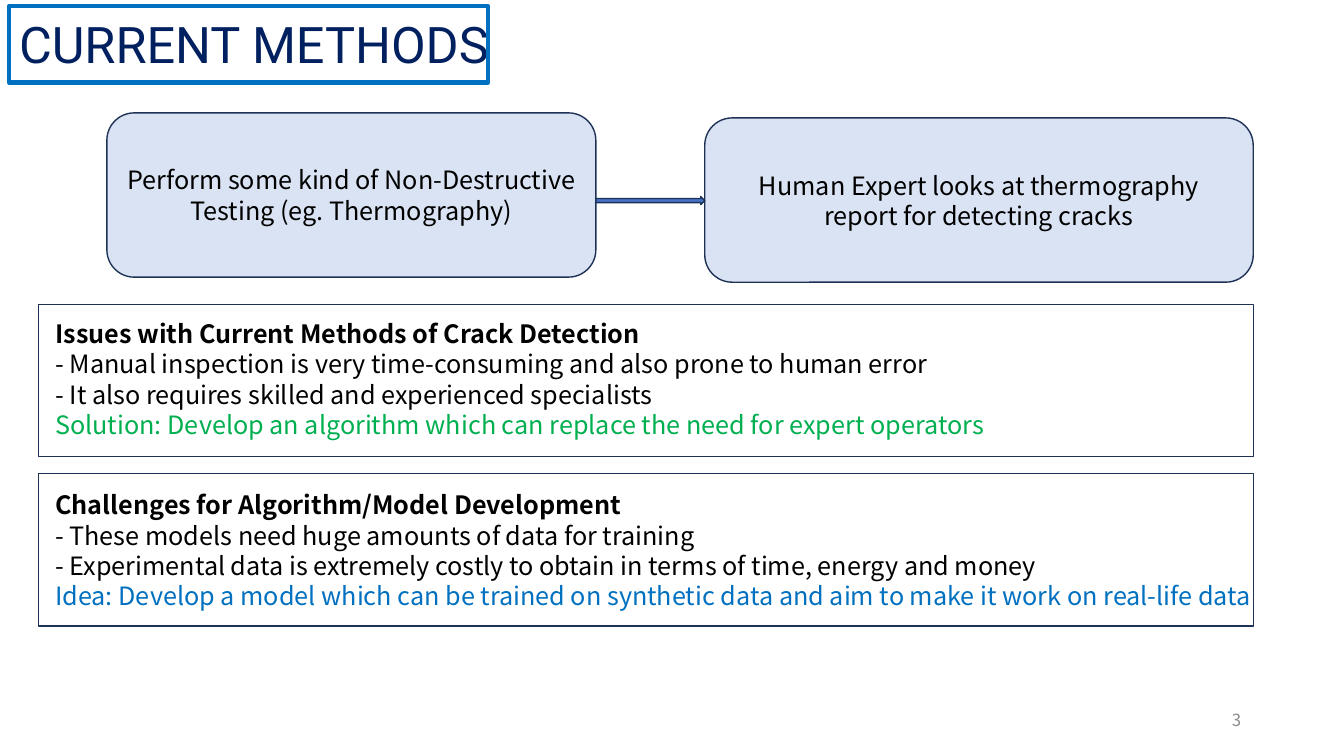
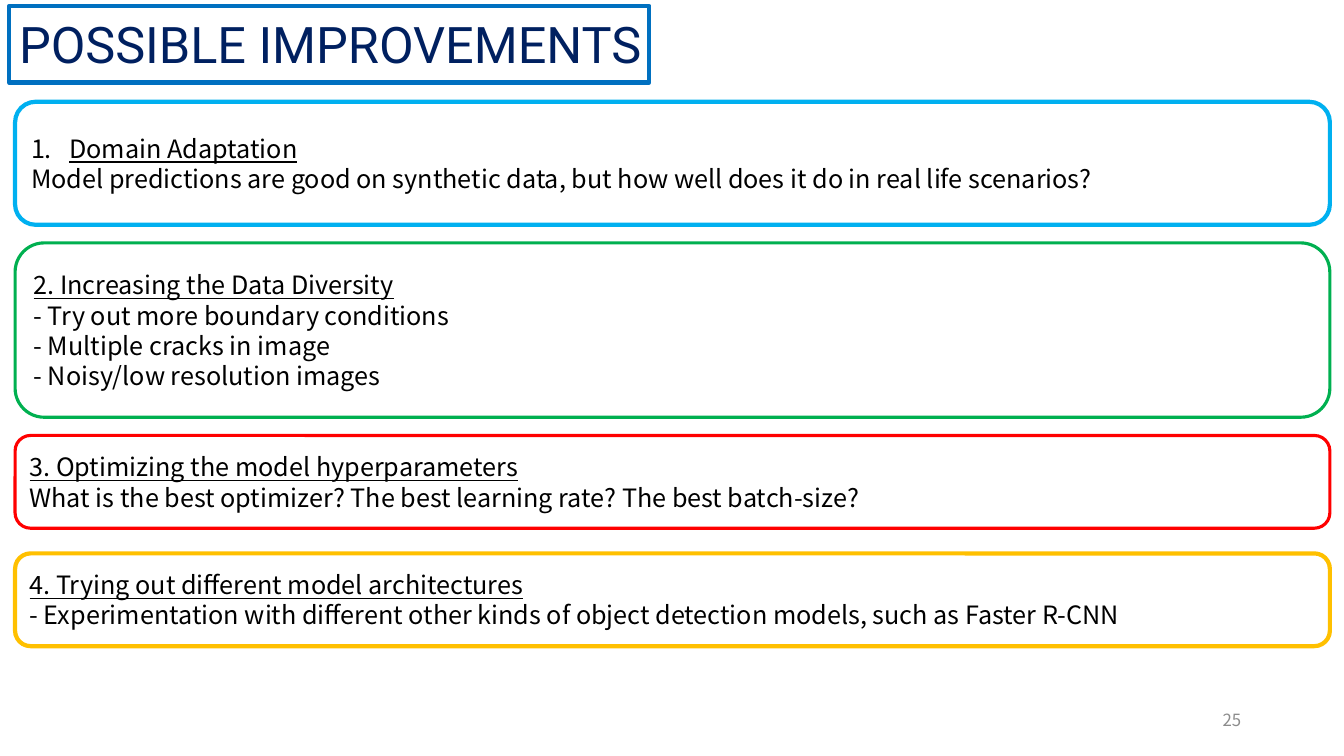
from lxml import etree
from pptx import Presentation
from pptx.dml.color import RGBColor
from pptx.enum.shapes import MSO_SHAPE
from pptx.enum.text import MSO_ANCHOR, PP_ALIGN
from pptx.oxml.ns import qn
from pptx.util import Pt

PX = 9144
RECTANGLE = MSO_SHAPE.RECTANGLE
ROUNDED = MSO_SHAPE.ROUNDED_RECTANGLE
ARROW = MSO_SHAPE.RIGHT_ARROW
LEFT, CENTER, RIGHT = PP_ALIGN.LEFT, PP_ALIGN.CENTER, PP_ALIGN.RIGHT
TOP, MIDDLE = MSO_ANCHOR.TOP, MSO_ANCHOR.MIDDLE

NAVY = "002060"
BLUE = "0070C0"
GREEN = "00B050"
OUTLINE = "1E3256"
PALE_BLUE = "DAE3F3"
BOLD = {"bold": True}
UNDERLINE = {"underline": True}
PLAIN = {}


def emu(*lengths):
    return [length * PX for length in lengths]


def rgb(value):
    return RGBColor.from_string(value)


class Deck:
    title_font = "Roboto"
    body_font = "Noto Sans CJK SC"
    body_size = 18
    line_factor = 1.2

    def __init__(self):
        self.presentation = Presentation()
        self.presentation.slide_width, self.presentation.slide_height = emu(1333, 750)
        self.slide = None

    def add_slide(self, title, frame_width, number):
        layout = self.presentation.slide_layouts[6]
        self.slide = self.presentation.slides.add_slide(layout)
        title_format = {"name": self.title_font, "size": Pt(36), "color": NAVY}
        self.text((9, 8, 809, 71), [(title, title_format)], spacing=None)
        self.shape(RECTANGLE, (9, 6, frame_width, 76), BLUE, 3)
        number_format = {"size": Pt(12), "color": "8C8C8C"}
        self.text((941, 694, 300, 40), [(number, number_format)], RIGHT, MIDDLE)

    def shape(self, kind, box, line, weight=1, fill=None):
        shape = self.slide.shapes.add_shape(kind, *emu(*box))
        shape.shadow.inherit = False
        shape.line.color.rgb = rgb(line)
        shape.line.width = Pt(weight)
        if fill:
            shape.fill.solid()
            shape.fill.fore_color.rgb = rgb(fill)
        else:
            shape.fill.background()
        return shape

    def text(self, box, lines, align=LEFT, anchor=TOP, spacing=line_factor):
        textbox = self.slide.shapes.add_textbox(*emu(*box))
        self.fill_text(textbox.text_frame, lines, align, anchor, spacing)

    def card(self, box, lines, line, weight=1, fill=None, align=LEFT):
        shape = self.shape(ROUNDED, box, line, weight, fill)
        self.fill_text(shape.text_frame, lines, align, MIDDLE, self.line_factor)

    def fill_text(self, frame, lines, align, anchor, spacing):
        frame.word_wrap = True
        frame.vertical_anchor = anchor
        for index, (text, changes) in enumerate(lines):
            paragraph = frame.paragraphs[0] if index == 0 else frame.add_paragraph()
            paragraph.alignment = align
            run = paragraph.add_run()
            run.text = text
            values = {"name": self.body_font, "size": Pt(self.body_size), "color": "000000"}
            values.update(changes)
            numbered = values.pop("numbered", False)
            run.font.color.rgb = rgb(values.pop("color"))
            for name, value in values.items():
                setattr(run.font, name, value)
            if spacing:
                paragraph.line_spacing = Pt(values["size"].pt * spacing)
            if numbered:
                self.number(paragraph)

    def number(self, paragraph):
        properties = paragraph._p.get_or_add_pPr()
        indent = 38 * PX
        properties.set("marL", str(indent))
        properties.set("indent", str(-indent))
        etree.SubElement(properties, qn("a:buAutoNum"), type="arabicPeriod")


def current_methods(deck):
    deck.add_slide("CURRENT METHODS", 475, "3")
    steps = [
        ((106, 112, 485, 163), "Perform some kind of Non-Destructive Testing (eg. Thermography)"),
        ((699, 117, 544, 163), "Human Expert looks at thermography report for detecting cracks"),
    ]
    for box, text in steps:
        deck.card(box, [(text, PLAIN)], OUTLINE, fill=PALE_BLUE, align=CENTER)
    deck.shape(ARROW, (591, 195, 108, 8), OUTLINE, fill="4472C4")

    panels = [
        (302, 311, [
            ("Issues with Current Methods of Crack Detection", BOLD),
            ("- Manual inspection is very time-consuming and also prone to human error", PLAIN),
            ("- It also requires skilled and experienced specialists", PLAIN),
            ("Solution: Develop an algorithm which can replace the need for expert operators",
             {"color": GREEN}),
        ]),
        (470, 481, [
            ("Challenges for Algorithm/Model Development", BOLD),
            ("- These models need huge amounts of data for training", PLAIN),
            ("- Experimental data is extremely costly to obtain in terms of time, energy and money",
             PLAIN),
            ("Idea: Develop a model which can be trained on synthetic data and aim to make it work "
             "on real-life data", {"color": BLUE}),
        ]),
    ]
    for panel_top, text_top, lines in panels:
        deck.shape(RECTANGLE, (38, panel_top, 1205, 151), OUTLINE)
        deck.text((45, text_top, 1260, 131), lines)


def possible_improvements(deck):
    deck.add_slide("POSSIBLE IMPROVEMENTS", 635, "25")
    improvements = [
        (101, 122, "00B0F0", 3, [
            ("Domain Adaptation", {"underline": True, "numbered": True}),
            ("Model predictions are good on synthetic data, but how well does it do in real life "
             "scenarios?", PLAIN),
        ]),
        (241, 173, GREEN, 2.25, [
            ("2. Increasing the Data Diversity", UNDERLINE),
            ("- Try out more boundary conditions", PLAIN),
            ("- Multiple cracks in image", PLAIN),
            ("- Noisy/low resolution images", PLAIN),
        ]),
        (432, 92, "FF0000", 2.25, [
            ("3. Optimizing the model hyperparameters", UNDERLINE),
            ("What is the best optimizer? The best learning rate? The best batch-size?", PLAIN),
        ]),
        (549, 92, "FFC000", 3, [
            ("4. Trying out different model architectures", UNDERLINE),
            ("- Experimentation with different other kinds of object detection models, such as "
             "Faster R-CNN", PLAIN),
        ]),
    ]
    for top, height, color, weight, lines in improvements:
        deck.card((15, top, 1304, height), lines, color, weight)


def main():
    deck = Deck()
    current_methods(deck)
    possible_improvements(deck)
    deck.presentation.save("out.pptx")


if __name__ == "__main__":
    main()
